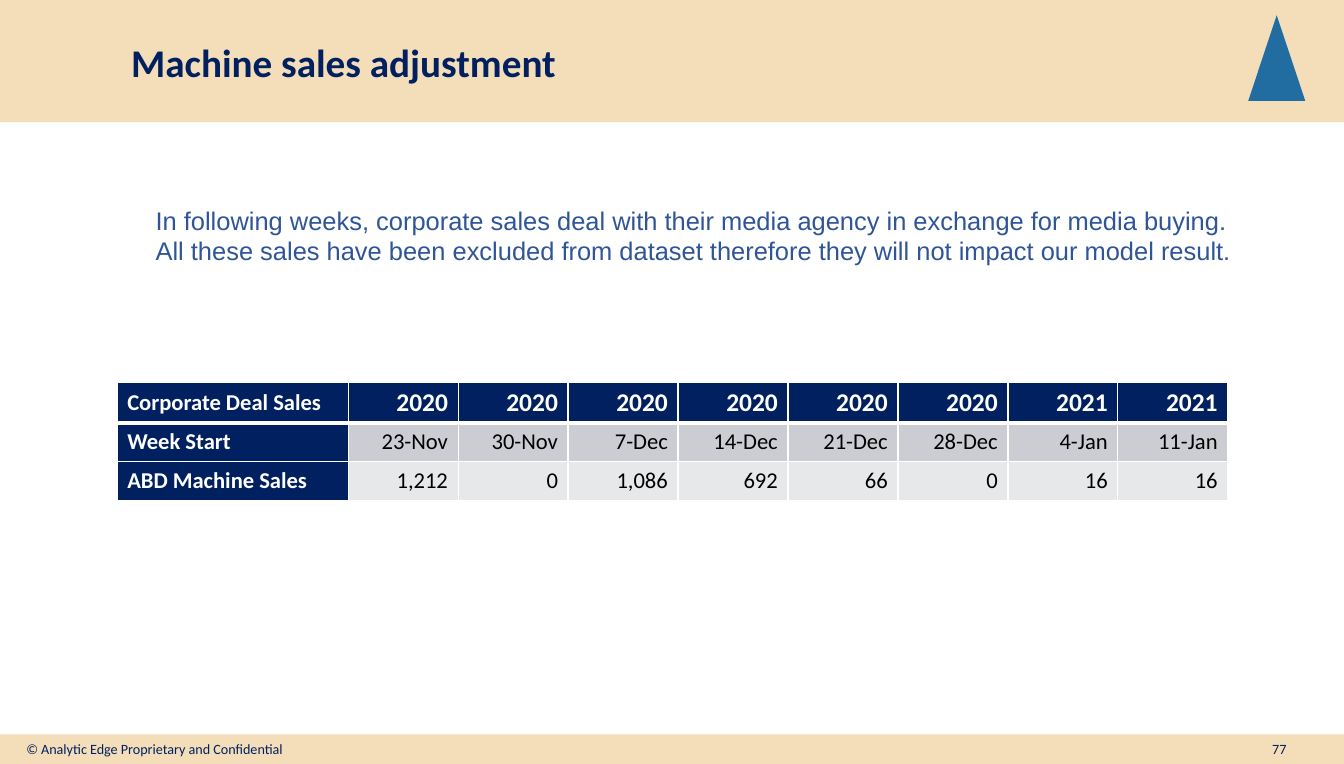
import dataclasses
import pptx
import pptx.dml.color
import pptx.enum.shapes
import pptx.enum.text
import pptx.oxml
import pptx.oxml.ns
import pptx.util

SCALE = 9144
ALIGN = pptx.enum.text.PP_ALIGN
ANCHOR = pptx.enum.text.MSO_ANCHOR
SHAPE = pptx.enum.shapes.MSO_SHAPE


@dataclasses.dataclass(frozen=True)
class Theme:
    """Colours, fonts and type sizes of the slide."""
    navy: str = "002060"
    sand: str = "F4DEB9"
    emblem: str = "216CA0"
    body: str = "2F5597"
    white: str = "FFFFFF"
    black: str = "000000"
    bands: tuple = ("CCCDD2", "E7E8EA")
    heading_font: str = "Calibri"
    body_font: str = "Arial"
    title_size: float = 27.7
    body_size: int = 18
    year_size: int = 18
    cell_size: int = 16
    footer_size: int = 10


THEME = Theme()
DEALS = (
    ("Corporate Deal Sales", "2020", "2020", "2020", "2020", "2020", "2020", "2021", "2021"),
    ("Week Start", "23-Nov", "30-Nov", "7-Dec", "14-Dec", "21-Dec", "28-Dec", "4-Jan", "11-Jan"),
    ("ABD Machine Sales", "1,212", "0", "1,086", "692", "66", "0", "16", "16"),
)


def px(*lengths):
    """Turn px lengths into EMU."""
    return [pptx.util.Emu(length * SCALE) for length in lengths]


def rgb(colour):
    """Return a colour object for a hex string."""
    return pptx.dml.color.RGBColor.from_string(colour)


def write(frame, text, font, size, colour, bold=False, align=ALIGN.LEFT):
    """Put text into a frame and format its runs."""
    frame.text = text
    for paragraph in frame.paragraphs:
        paragraph.alignment = align
        for run in paragraph.runs:
            run.font.name = font
            run.font.size = pptx.util.Pt(size)
            run.font.bold = bold
            run.font.color.rgb = rgb(colour)


def add_text(slide, box, text, font, size, colour, bold=False,
             align=ALIGN.LEFT, anchor=ANCHOR.TOP):
    """Add a wrapping text box."""
    frame = slide.shapes.add_textbox(*px(*box)).text_frame
    frame.word_wrap = True
    frame.vertical_anchor = anchor
    write(frame, text, font, size, colour, bold, align)


def add_block(slide, kind, box, colour):
    """Add a plain filled shape without outline or shadow."""
    block = slide.shapes.add_shape(kind, *px(*box))
    block.shadow.inherit = False
    block.fill.solid()
    block.fill.fore_color.rgb = rgb(colour)
    block.line.fill.background()


def add_header(slide, box):
    """Draw the title band with its emblem."""
    left, top, width, height = box
    add_block(slide, SHAPE.RECTANGLE, box, THEME.sand)
    add_block(slide, SHAPE.ISOSCELES_TRIANGLE,
              (left + width - 94, top + 15, 56, 84), THEME.emblem)
    add_text(slide, (left + 119, top + 18, width - 235, height - 34),
             "Machine sales adjustment", THEME.heading_font, THEME.title_size,
             THEME.navy, bold=True, anchor=ANCHOR.MIDDLE)


def add_footer(slide, box):
    """Draw the footer band with copyright line and page number."""
    left, top, width, height = box
    add_block(slide, SHAPE.RECTANGLE, box, THEME.sand)
    style = THEME.heading_font, THEME.footer_size, THEME.navy
    add_text(slide, (left + 16, top + 1, 300, 40),
             "© Analytic Edge Proprietary and Confidential", *style)
    add_text(slide, (left + width - 95, top + 1, 63, 40), "77", *style, align=ALIGN.CENTER)


def add_explanation(slide, box):
    """Add the two sentences about excluded sales."""
    add_text(slide, box,
             "In following weeks, corporate sales deal with their media agency "
             "in exchange for media buying.\n"
             "All these sales have been excluded from dataset therefore they "
             "will not impact our model result.",
             THEME.body_font, THEME.body_size, THEME.body)


def set_borders(cell, top, bottom):
    """Give a cell white borders, with top and bottom widths in points."""
    for side, points in (("L", 1), ("R", 1), ("T", top), ("B", bottom)):
        cell._tc.get_or_add_tcPr().append(pptx.oxml.parse_xml(
            f'<a:ln{side} {pptx.oxml.ns.nsdecls("a")} w="{pptx.util.Pt(points)}">'
            f'<a:solidFill><a:srgbClr val="{THEME.white}"/></a:solidFill></a:ln{side}>'))


def fill_cell(cell, text, row, column):
    """Style one cell by its place in the table."""
    heading = row == 0 or column == 0
    set_borders(cell, top=3 if row == 1 else 1, bottom=3 if row == 0 else 1)
    cell.fill.solid()
    cell.fill.fore_color.rgb = rgb(THEME.navy if heading else THEME.bands[row - 1])
    cell.vertical_anchor = ANCHOR.MIDDLE
    cell.margin_left, cell.margin_right, cell.margin_top, cell.margin_bottom = px(10, 10, 0, 0)
    write(cell.text_frame, text, THEME.heading_font,
          THEME.year_size if row == 0 and column else THEME.cell_size,
          THEME.white if heading else THEME.black, bold=heading,
          align=ALIGN.RIGHT if column else ALIGN.LEFT)


def add_deals(slide, box):
    """Build the table of corporate deal sales by week."""
    deals = slide.shapes.add_table(len(DEALS), len(DEALS[0]), *px(*box)).table
    deals.horz_banding = False
    week_width = 108
    label_width = box[2] - week_width * (len(DEALS[0]) - 1)
    for index, column in enumerate(deals.columns):
        column.width, = px(week_width if index else label_width)
    for index, row in enumerate(deals.rows):
        row.height, = px(38 if index else box[3] - 2 * 38)
    for row, values in enumerate(DEALS):
        for column, value in enumerate(values):
            fill_cell(deals.cell(row, column), value, row, column)


def main():
    """Build and save the slide."""
    deck = pptx.Presentation()
    deck.slide_width, deck.slide_height = px(1320, 750)
    slide = deck.slides.add_slide(deck.slide_layouts[6])
    add_header(slide, (0, 0, 1320, 120))
    add_footer(slide, (0, 721, 1320, 29))
    add_deals(slide, (115, 375, 1091, 116))
    add_explanation(slide, (143, 196, 1108, 71))
    deck.save("out.pptx")


if __name__ == "__main__":
    main()
